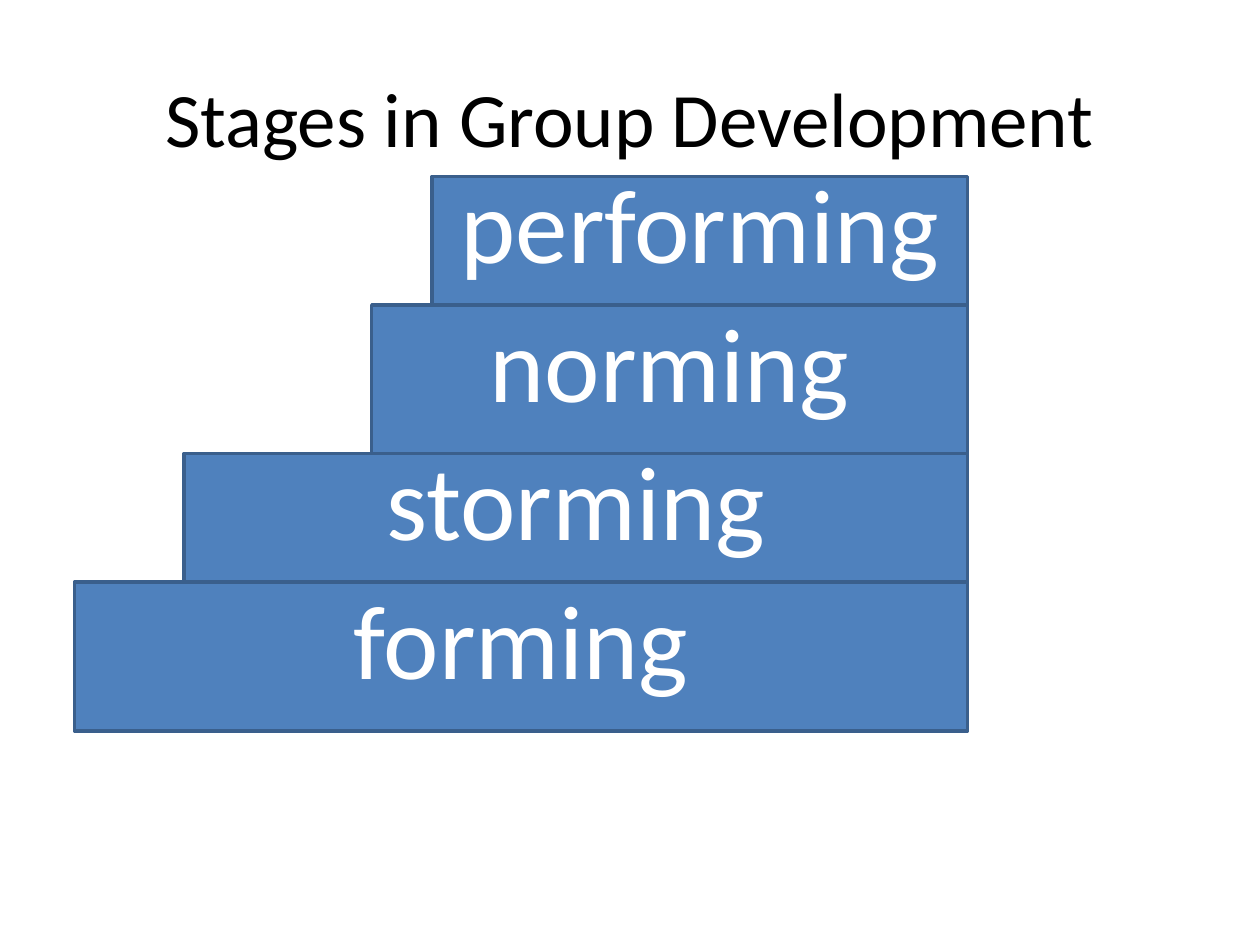
from pptx import Presentation
from pptx import util as u
from pptx.dml.color import RGBColor
from pptx.enum import shapes, text

COLORS = {"title": "000000", "step": "4F81BD", "edge": "3A5F8C", "label": "FFFFFF"}
FONT = "Calibri"


class Deck:
    """Holds the style and the current slide; lengths are shares of its size."""

    def __init__(self, width, height):
        self.prs = Presentation()
        self.prs.slide_width, self.prs.slide_height = u.Inches(width), u.Inches(height)
        self.s = self.prs.slides.add_slide(self.prs.slide_layouts[6])

    def box(self, x, y, w, h):
        pw, ph = self.prs.slide_width, self.prs.slide_height
        return [round(v) for v in (x * pw, y * ph, w * pw, h * ph)]

    def label(self, sp, words, size, color, **frame):
        tf = sp.text_frame
        frame = {"word_wrap": True, "vertical_anchor": text.MSO_ANCHOR.MIDDLE, **frame}
        for name, value in frame.items():
            setattr(tf, name, value)
        p = tf.paragraphs[0]
        p.alignment = text.PP_ALIGN.CENTER
        r = p.add_run()
        r.text = words
        for name, value in {"name": FONT, "size": u.Pt(size)}.items():
            setattr(r.font, name, value)
        r.font.color.rgb = RGBColor.from_string(COLORS[color])

    def title(self, words, *place):
        self.label(self.s.shapes.add_textbox(*self.box(*place)), words, 44, "title")

    def step(self, words, *place):
        sp = self.s.shapes.add_shape(shapes.MSO_SHAPE.RECTANGLE, *self.box(*place))
        sp.shadow.inherit = False
        sp.fill.solid()
        sp.fill.fore_color.rgb = RGBColor.from_string(COLORS["step"])
        sp.line.color.rgb = RGBColor.from_string(COLORS["edge"])
        sp.line.width = u.Pt(2)
        # A deeper bottom margin lifts the label above the middle
        self.label(sp, words, 60, "label", margin_bottom=u.Inches(0.35))


W, H = 10, 7.5
deck = Deck(W, H)

# Title
deck.title("Stages in Group Development", 0.05, 0.04, 0.9, 1.25 / H)

# Staircase: steps share a right edge and stack upwards from the base
right, bottom = 7.68, 5.8
steps = [("forming", 0.59, 1.18), ("storming", 1.46, 1.02),
         ("norming", 2.95, 1.18), ("performing", 3.43, 1.02)]
for words, left, height in steps:
    bottom -= height
    deck.step(words, left / W, bottom / H, (right - left) / W, height / H)

deck.prs.save("out.pptx")
